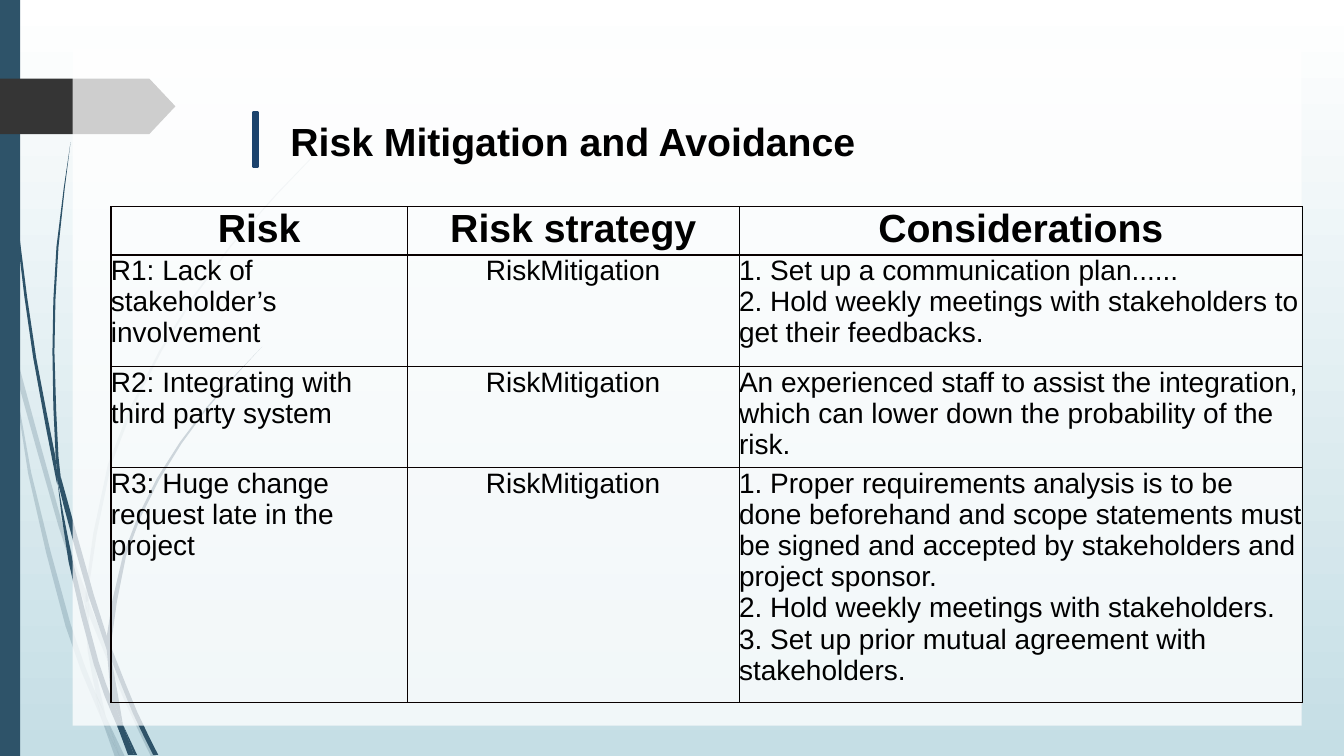
from lxml import etree
from pptx import Presentation
from pptx import util as u
from pptx.dml.color import RGBColor
from pptx.enum import shapes, text
from pptx.oxml.ns import qn

WIDTH, HEIGHT = 13.33, 7.5
FONT = "Arial"
TEAL, NAVY, CHARCOAL, MIST, WHITE, BLACK = (
    "2E5369", "1C436D", "353535", "C5DEE5", "FFFFFF", "000000")
BORDER = "080000"

# Each strand of grass is one edge down and one edge back.
PALE_STRANDS = [
    ([(0, 2.82), (.09, 3.22), (.11, 3.5)], [(.1, 3.44), (0, 2.99)]),
    ([(.14, 3.45), (.62, 5.2), (.85, 5.86)],
     [(.84, 5.99), (.58, 5.22), (.17, 3.76)]),
    ([(.88, 5.96), (.92, 6.07), (1.27, 6.92), (1.55, 7.51)],
     [(1.5, 7.51), (1.23, 6.94), (.88, 6.1)]),
    ([(1.05, 7.11), (1.24, 7.51)], [(1.19, 7.51), (1.05, 7.11)]),
    ([(.11, 3.5), (.31, 4.69), (.7, 6.19), (.93, 6.83), (1.01, 7.14)],
     [(.92, 6.93), (.65, 6.21), (.28, 4.7), (.11, 3.5)]),
    ([(.84, 5.99), (.88, 6.1), (.91, 6.46), (1.05, 7.11)],
     [(.96, 6.92), (.87, 6.46), (.84, 5.99)]),
    ([(3.12, 1.53), (2.28, 2.44), (1.58, 3.48), (1.07, 4.61), (.85, 5.84), (.88, 5.96)],
     [(.88, 5.84), (1.1, 4.62), (1.6, 3.49), (2.29, 2.45), (3.12, 1.54)]),
    ([(1.01, 7.14), (1.14, 7.51)], [(1.19, 7.51), (1.01, 7.14)]),
    ([(.85, 5.86), (.88, 5.96), (.88, 6.1)], [(.84, 5.99), (.85, 5.86)]),
    ([(.93, 6.83), (1.05, 7.11), (1.19, 7.51)], [(1.01, 7.14), (.93, 6.83)]),
]
DARK_STRANDS = [
    ([(.04, 0), (.08, 1.09), (.19, 2.32), (.36, 3.55), (.55, 4.53), (.57, 4.81)],
     [(.56, 4.77), (.33, 3.55), (.17, 2.33), (.07, 1.1), (.03, 0)]),
    ([(.6, 4.72), (.93, 5.9), (1.06, 6.31), (1.06, 6.45)],
     [(.88, 5.92), (.64, 5.05), (.6, 4.72)]),
    ([(1.1, 6.41), (1.13, 6.49), (1.36, 7.06), (1.57, 7.49)],
     [(1.52, 7.49), (1.32, 7.08), (1.11, 6.56)]),
    ([(.57, 4.77), (.72, 5.56), (.98, 6.57), (1.1, 6.91), (1.17, 7.22)],
     [(1.11, 7.08), (.93, 6.59), (.68, 5.57), (.57, 4.77)]),
    ([(.7, 1.41), (.56, 2.45), (.52, 3.49), (.55, 4.49), (.6, 4.72)],
     [(.58, 4.53), (.54, 3.49), (.58, 2.45), (.7, 1.41)]),
    ([(1.22, 7.19), (1.36, 7.49)], [(1.33, 7.49), (1.22, 7.19)]),
    ([(.55, 4.49), (.6, 4.72), (.64, 5.05)], [(.57, 4.77), (.55, 4.49)]),
    ([(2.6, 3.44), (2.04, 4.05), (1.56, 4.74), (1.22, 5.51), (1.06, 6.31), (1.1, 6.41)],
     [(1.11, 6.33), (1.25, 5.52), (1.58, 4.76), (2.05, 4.06), (2.6, 3.44)]),
    ([(1.17, 7.22), (1.31, 7.49)], [(1.27, 7.49), (1.17, 7.22)]),
    ([(1.06, 6.45), (1.11, 6.56), (1.22, 7.19)], [(1.1, 6.91), (1.06, 6.45)]),
    ([(1.06, 6.31), (1.1, 6.41), (1.11, 6.56)], [(1.06, 6.45), (1.06, 6.31)]),
    ([(1.1, 6.91), (1.22, 7.19), (1.33, 7.49)], [(1.3, 7.49), (1.17, 7.22), (1.1, 6.91)]),
]
TABLE_ROWS = [
    ("Risk", "Risk strategy", "Considerations"),
    ("R1: Lack of stakeholder’s involvement", "RiskMitigation",
     "1. Set up a communication plan......\n"
     "2. Hold weekly meetings with stakeholders to get their feedbacks."),
    ("R2: Integrating with third party system", "RiskMitigation",
     "An experienced staff to assist the integration, which can lower down "
     "the probability of the risk."),
    ("R3: Huge change request late in the project", "RiskMitigation",
     "1. Proper requirements analysis is to be done beforehand and scope statements "
     "must be signed and accepted by stakeholders and project sponsor.\n"
     "2. Hold weekly meetings with stakeholders.\n"
     "3. Set up prior mutual agreement with stakeholders."),
]


def colour(value):
    return RGBColor.from_string(value)


def inches(box):
    return [u.Inches(length) for length in box]


def assign(target, **values):
    for name, value in values.items():
        setattr(target, name, value)


def paint(shape, fill, opacity=100, line=None):
    shape.shadow.inherit = False
    shape.fill.solid()
    shape.fill.fore_color.rgb = colour(fill)
    if opacity < 100:
        for node in shape.element.spPr.iter(qn("a:srgbClr")):
            etree.SubElement(node, qn("a:alpha"), val=str(opacity * 1000))
    if line:
        shape.line.color.rgb = colour(line)
        shape.line.width = u.Pt(2)
    else:
        shape.line.fill.background()


def add_block(page, kind, box, fill, **look):
    block = page.shapes.add_shape(kind, *inches(box))
    paint(block, fill, **look)
    return block


def smooth(points, steps=2):
    """Return points on a Catmull-Rom curve through the given points."""
    if len(points) < 3:
        return points
    padded = [points[0], *points, points[-1]]
    curve = [points[0]]
    for a, b, c, d in zip(padded, padded[1:], padded[2:], padded[3:]):
        for step in range(1, steps + 1):
            t = step / steps
            curve.append(tuple(
                (2 * q + (r - p) * t + (2 * p - 5 * q + 4 * r - s) * t ** 2
                 + (3 * q - p - 3 * r + s) * t ** 3) / 2
                for p, q, r, s in zip(a, b, c, d)))
    return curve


def add_grass(page, strands, opacity):
    group = page.shapes.add_group_shape()
    for down, back in strands:
        start, *rest = [inches(point) for point in smooth(down) + smooth(back)]
        builder = group.shapes.build_freeform(*start, scale=1.0)
        builder.add_line_segments(rest, close=True)
        paint(builder.convert_to_shape(), TEAL, opacity)


def add_backdrop(page):
    fill = page.background.fill
    fill.gradient()
    fill.gradient_angle = 270
    for stop, value, position in zip(fill.gradient_stops, (WHITE, MIST), (0, 1)):
        stop.color.rgb = colour(value)
        stop.position = position
    add_grass(page, PALE_STRANDS, 20)
    add_grass(page, DARK_STRANDS, 100)
    kinds = shapes.MSO_SHAPE
    add_block(page, kinds.RECTANGLE, (0, 0, .2, HEIGHT), TEAL)
    arrow = add_block(page, kinds.PENTAGON, (0, .78, 1.74, .55), CHARCOAL)
    arrow.adjustments[0] = .47
    add_block(page, kinds.RECTANGLE, (.72, .48, 12.19, 6.72), WHITE, opacity=76)


def add_heading(page, box):
    left, top, width, height = box
    title = page.shapes.title
    page.shapes.element.append(title.element)  # bring to front
    assign(title, **dict(zip(("left", "top", "width", "height"), inches(box))))
    frame = title.text_frame
    frame.text = "Risk Mitigation and Avoidance"
    assign(frame, word_wrap=True, auto_size=text.MSO_AUTO_SIZE.NONE,
           vertical_anchor=text.MSO_ANCHOR.MIDDLE)
    para = frame.paragraphs[0]
    para.alignment = text.PP_ALIGN.LEFT
    assign(para.runs[0].font, name=FONT, size=u.Pt(28), bold=True)
    para.runs[0].font.color.rgb = colour(BLACK)
    add_block(page, shapes.MSO_SHAPE.RECTANGLE, (left - .27, top + .01, .05, height - .04),
              NAVY, line=NAVY)


def add_borders(cell, place):
    """Draw the four edges, finer on both sides of the last column."""
    thin = {"lnL": place == 2, "lnR": place > 0, "lnT": False, "lnB": False}
    properties = cell._tc.get_or_add_tcPr()
    for index, (side, fine) in enumerate(thin.items()):
        line = etree.Element(qn(f"a:{side}"), w=str(u.Pt(.75 if fine else 1)))
        fill = etree.SubElement(line, qn("a:solidFill"))
        etree.SubElement(fill, qn("a:srgbClr"), val=BLACK if fine else BORDER)
        properties.insert(index, line)


def fill_cell(cell, content, size, bold, centred):
    assign(cell, margin_left=0, margin_right=0, margin_top=0, margin_bottom=0)
    cell.text = content
    cell.fill.background()
    for para in cell.text_frame.paragraphs:
        para.alignment = text.PP_ALIGN.CENTER if centred else text.PP_ALIGN.LEFT
        for span in para.runs:
            assign(span.font, name=FONT, size=u.Pt(size), bold=bold)
            span.font.color.rgb = colour(BLACK)


def add_risk_table(page, left, top, columns, rows):
    box = (left, top, sum(columns), sum(rows))
    table = page.shapes.add_table(len(rows), len(columns), *inches(box)).table
    assign(table, first_row=False, horz_banding=False)
    for column, width in zip(table.columns, columns):
        column.width = u.Inches(width)
    for index, (row, height) in enumerate(zip(table.rows, rows)):
        row.height = u.Inches(height)
        header = index == 0
        for place, (cell, content) in enumerate(zip(row.cells, TABLE_ROWS[index])):
            fill_cell(cell, content, 28 if header else 20, header, header or place == 1)
            add_borders(cell, place)


def main():
    deck = Presentation()
    assign(deck, slide_width=u.Inches(WIDTH), slide_height=u.Inches(HEIGHT))
    page = deck.slides.add_slide(deck.slide_layouts.get_by_name("Title Only"))
    add_backdrop(page)
    add_heading(page, (2.78, 1.11, 6.4, .57))
    add_risk_table(page, 1.1, 2.05, (2.94, 3.29, 5.59), (.48, 1.11, 1, 2.33))
    deck.save("out.pptx")


if __name__ == "__main__":
    main()
